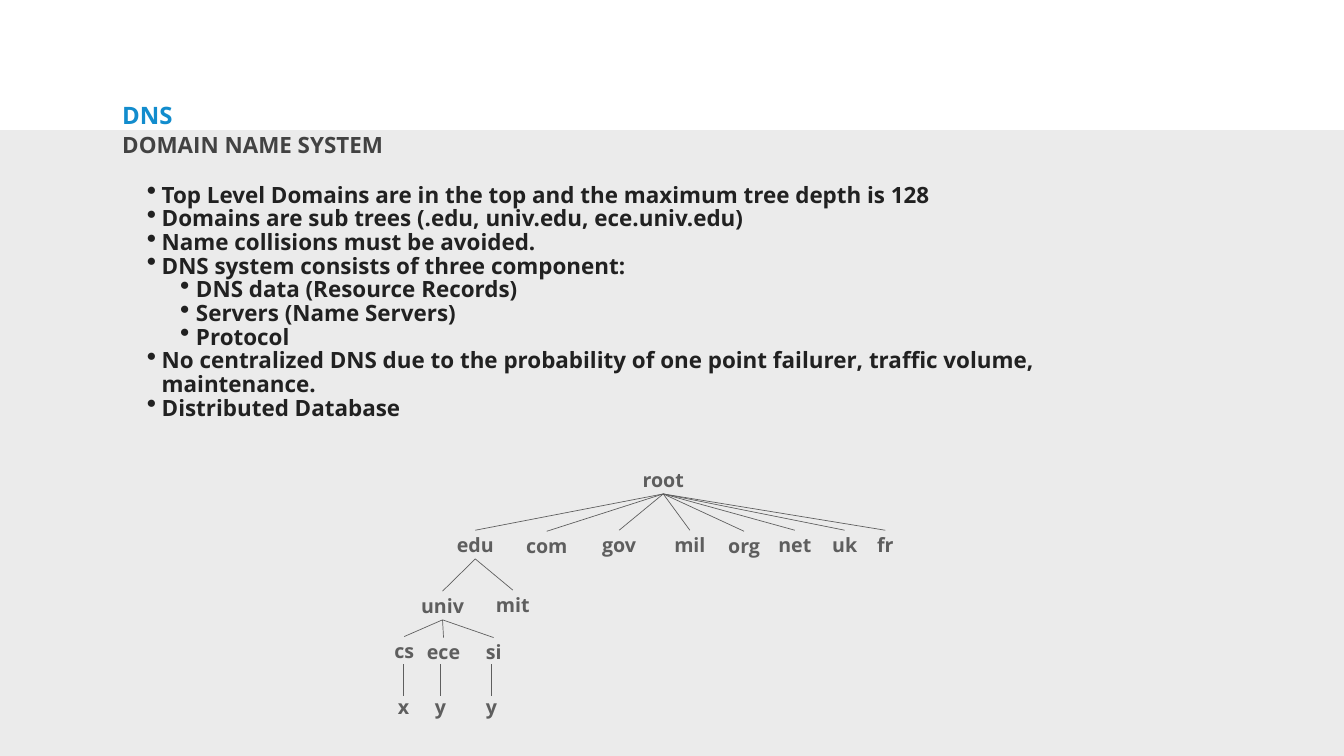
from lxml.etree import SubElement
from pptx import Presentation
from pptx.dml.color import RGBColor
from pptx.enum.shapes import MSO_CONNECTOR as Connector, MSO_SHAPE as Shape
from pptx.enum.text import MSO_ANCHOR as Anchor, MSO_AUTO_SIZE as AutoSize, PP_ALIGN as Align
from pptx.oxml.ns import qn
from pptx.util import Pt

COLORS = {"band": "EBEBEB", "title": "128CCD", "subtitle": "424242", "body": "212121", "tree": "5E5E5E"}

BULLETS = [
    (0, "Top Level Domains are in the top and the maximum tree depth is 128"),
    (0, "Domains are sub trees (.edu, univ.edu, ece.univ.edu)"),
    (0, "Name collisions must be avoided."),
    (0, "DNS system consists of three component:"),
    (1, "DNS data (Resource Records)"),
    (1, "Servers (Name Servers)"),
    (1, "Protocol"),
    (0, "No centralized DNS due to the probability of one point failurer, traffic volume, maintenance."),
    (0, "Distributed Database"),
]
INDENTS = [(21, 21), (70, 22.5)]

NODES = {
    "root": (947.5, 664.6, 75),
    "edu": (679, 757.5, 68),
    "com": (781, 759, 74),
    "gov": (884.5, 757.5, 64),
    "mil": (985.5, 757.5, 59),
    "org": (1063, 759, 61),
    "net": (1135.5, 757.5, 62),
    "uk": (1206.7, 757.5, 50),
    "fr": (1264.7, 757.5, 38),
    "univ": (632.2, 844.5, 76),
    "mit": (732.6, 843, 63),
    "cs": (577.4, 909.4, 43),
    "ece": (633.6, 910.8, 62),
    "si": (705.2, 910.8, 37),
}
CHILDREN = {
    "root": ["edu", "com", "gov", "mil", "org", "net", "uk", "fr"],
    "edu": ["univ", "mit"],
    "univ": ["cs", "ece", "si"],
}
LEAVES = [("x", 576.4), ("y", 629.3), ("y", 702)]
LABEL_HEIGHT = 41
LEAF_TOP = 988.6
STEM_TOP, STEM_BOTTOM = 949, 995


def write(paragraph, text, size, color, spacing=None, align=None, level=None):
    paragraph.line_spacing = spacing
    paragraph.alignment = align
    if level is not None:
        paragraph.level = level
        margin, hanging = INDENTS[level]
        properties = paragraph._p.get_or_add_pPr()
        properties.set("marL", str(Pt(margin)))
        properties.set("indent", str(-Pt(hanging)))
        SubElement(properties, qn("a:buSzPct"), val="123000")
        SubElement(properties, qn("a:buChar"), char="•")
    run = paragraph.add_run()
    run.text = text
    run.font.name = "Open Sans"
    run.font.size = Pt(size)
    run.font.bold = True
    run.font.color.rgb = RGBColor.from_string(COLORS[color])


class SlideBuilder:
    def __init__(self, slide):
        self.slide = slide
        self.tree = None

    def band(self, left, top, width, height):
        shape = self.slide.shapes.add_shape(Shape.RECTANGLE, Pt(left), Pt(top), Pt(width), Pt(height))
        shape.shadow.inherit = False
        shape.fill.solid()
        shape.fill.fore_color.rgb = RGBColor.from_string(COLORS["band"])
        shape.line.fill.background()

    def text_box(self, left, top, width, height, anchor=Anchor.TOP):
        frame = self.slide.shapes.add_textbox(Pt(left), Pt(top), Pt(width), Pt(height)).text_frame
        frame.word_wrap = True
        frame.vertical_anchor = anchor
        frame.margin_left = frame.margin_right = frame.margin_top = frame.margin_bottom = Pt(4)
        return frame

    def heading(self, text, bounds, **style):
        anchor = style.pop("anchor", Anchor.TOP)
        write(self.text_box(*bounds, anchor=anchor).paragraphs[0], text, **style)

    def bullets(self, items, bounds):
        frame = self.text_box(*bounds)
        for index, (level, text) in enumerate(items):
            paragraph = frame.add_paragraph() if index else frame.paragraphs[0]
            write(paragraph, text, size=32, color="body", spacing=0.88, level=level)

    def start_tree(self):
        self.tree = self.slide.shapes.add_group_shape()

    def label(self, text, center, top, width):
        shape = self.tree.shapes.add_textbox(Pt(center - width / 2), Pt(top), Pt(width), Pt(LABEL_HEIGHT))
        frame = shape.text_frame
        frame.word_wrap = False
        frame.auto_size = AutoSize.SHAPE_TO_FIT_TEXT
        write(frame.paragraphs[0], text, size=28, color="tree", align=Align.CENTER)
        return shape

    def line(self, x1, y1, x2, y2):
        connector = self.tree.shapes.add_connector(Connector.STRAIGHT, Pt(x1), Pt(y1), Pt(x2), Pt(y2))
        connector.line.color.rgb = RGBColor.from_string(COLORS["tree"])
        connector.line.width = Pt(1)
        SubElement(connector._element.spPr, qn("a:effectLst"))
        return connector

    def branch(self, parent, child, labels):
        parent_x, parent_top, _ = NODES[parent]
        child_x, child_top, _ = NODES[child]
        connector = self.line(parent_x, parent_top + LABEL_HEIGHT, child_x, child_top)
        connector.begin_connect(labels[parent], 2)
        connector.end_connect(labels[child], 0)


def main():
    presentation = Presentation()
    presentation.slide_width = Pt(1920)
    presentation.slide_height = Pt(1080)
    builder = SlideBuilder(presentation.slides.add_slide(presentation.slide_layouts[6]))

    builder.band(0, 186, 1920, 894)
    builder.heading("DNS", (170.6, 147.6, 1158, 40), size=34.2, color="title",
                    spacing=0.8, anchor=Anchor.MIDDLE)
    builder.heading("DOMAIN NAME SYSTEM", (170.6, 190.8, 769, 63), size=32,
                    color="subtitle", spacing=0.82)
    builder.bullets(BULLETS, (206, 259.2, 1307, 411))

    builder.start_tree()
    labels = {name: builder.label(name, *place) for name, place in NODES.items()}
    for parent, children in CHILDREN.items():
        for child in children:
            builder.branch(parent, child, labels)
    for text, center in LEAVES:
        builder.label(text, center, LEAF_TOP, 31)
        builder.line(center, STEM_TOP, center, STEM_BOTTOM)

    presentation.save("out.pptx")


if __name__ == "__main__":
    main()
